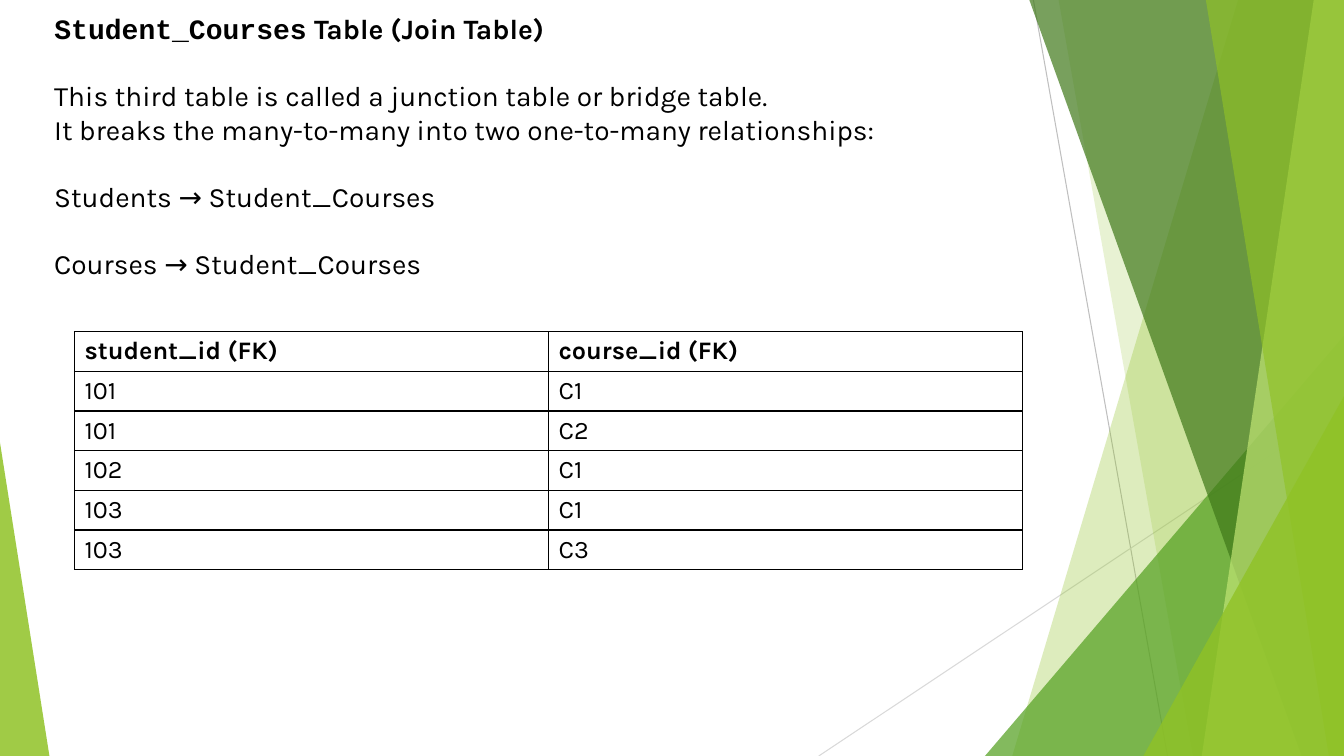
from lxml import etree
from pptx import Presentation
from pptx import util as u
from pptx.dml.color import RGBColor
from pptx.enum import shapes, text
from pptx.oxml import ns

# The page is a grid of 100 columns by 100 rows
WIDTH, HEIGHT = u.Inches(13.33), u.Inches(7.5)

BLACK = RGBColor(0, 0, 0)
LIME = RGBColor(0x90, 0xC2, 0x26)
PALE_LIME = RGBColor(0xC0, 0xE4, 0x74)
GREEN = RGBColor(0x54, 0xA0, 0x21)
DARK_GREEN = RGBColor(0x3F, 0x78, 0x19)
GREY = RGBColor(0xBF, 0xBF, 0xBF)
LIGHT_GREY = RGBColor(0xD9, 0xD9, 0xD9)

SANS, MONO = "Karla", "Courier New"

ROWS = [
    ("student_id (FK)", "course_id (FK)"),
    ("101", "C1"),
    ("101", "C2"),
    ("102", "C1"),
    ("103", "C1"),
    ("103", "C3"),
]
# Each paragraph with the space before it, in points
BODY = [
    ("This third table is called a junction table or bridge table.", 0),
    ("It breaks the many-to-many into two one-to-many relationships:", 0),
    ("Students → Student_Courses", 24),
    ("Courses → Student_Courses", 24),
]


def col(share):
    return round(WIDTH * share / 100)


def row(share):
    return round(HEIGHT * share / 100)


def tint(shape, color, opacity):
    """Fill a borderless shape with a see-through colour."""
    shape.shadow.inherit = False
    shape.line.fill.background()
    shape.fill.solid()
    shape.fill.fore_color.rgb = color
    rgb = shape._element.spPr.find(".//" + ns.qn("a:srgbClr"))
    etree.SubElement(rgb, ns.qn("a:alpha"), val=str(opacity * 1000))


def add_band(page, top_col, bottom_col, color, opacity):
    """Full-height band from a slanted left edge to the right page edge."""
    builder = page.shapes.build_freeform(col(top_col), 0)
    builder.add_line_segments(
        [(WIDTH, 0), (WIDTH, HEIGHT), (col(bottom_col), HEIGHT)], close=True)
    tint(builder.convert_to_shape(), color, opacity)


def add_corner(page, left, top, width, apex, color, opacity):
    """Triangle standing on the bottom edge of the page."""
    corner = page.shapes.add_shape(
        shapes.MSO_SHAPE.ISOSCELES_TRIANGLE,
        col(left), row(top), col(width), HEIGHT - row(top))
    corner.adjustments[0] = apex
    tint(corner, color, opacity)


def add_hairline(page, start, end, color):
    line = page.shapes.add_connector(
        shapes.MSO_CONNECTOR.STRAIGHT,
        col(start[0]), row(start[1]), col(end[0]), row(end[1]))
    line.line.color.rgb = color
    line.line.width = u.Pt(0.75)
    etree.SubElement(line._element.spPr, ns.qn("a:effectLst"))


def add_span(para, words, size, bold=False, font=SANS):
    span = para.add_run()
    span.text = words
    span.font.name = font
    span.font.size = u.Pt(size)
    span.font.bold = bold
    span.font.color.rgb = BLACK


def set_frame(box, top, height):
    """Place a text box on the shared left margin and return its frame."""
    box.left, box.top = col(3.3), row(top)
    box.width, box.height = col(73.59), row(height)
    frame = box.text_frame
    frame.word_wrap = True
    frame.auto_size = text.MSO_AUTO_SIZE.NONE
    frame.vertical_anchor = text.MSO_ANCHOR.TOP
    return frame


def add_title(page):
    para = set_frame(page.shapes.title, 0.8, 5.87).paragraphs[0]
    para.alignment = text.PP_ALIGN.LEFT
    add_span(para, "Student_Courses", 20, bold=True, font=MONO)
    add_span(para, " Table (Join Table)", 20, bold=True)


def add_body(page):
    frame = set_frame(page.shapes.add_textbox(0, 0, 0, 0), 9.73, 30)
    for index, (words, gap) in enumerate(BODY):
        para = frame.add_paragraph() if index else frame.paragraphs[0]
        para.space_before = u.Pt(gap)
        add_span(para, words, 20)


def set_borders(cell):
    properties = cell._tc.get_or_add_tcPr()
    for index, side in enumerate(("lnL", "lnR", "lnT", "lnB")):
        border = etree.Element(ns.qn("a:" + side), w=str(u.Pt(1)))
        fill = etree.SubElement(border, ns.qn("a:solidFill"))
        etree.SubElement(fill, ns.qn("a:srgbClr"), val=str(BLACK))
        properties.insert(index, border)


def add_join_table(page):
    table = page.shapes.add_table(
        len(ROWS), len(ROWS[0]),
        col(5.55), row(43.87), col(70.52), row(5.24) * len(ROWS)).table
    table.first_row = table.horz_banding = False
    for r, values in enumerate(ROWS):
        for c, value in enumerate(values):
            cell = table.cell(r, c)
            cell.fill.background()
            cell.vertical_anchor = text.MSO_ANCHOR.MIDDLE
            add_span(cell.text_frame.paragraphs[0], value, 18, bold=r == 0)
            set_borders(cell)


def add_decoration(page):
    add_hairline(page, (76.89, 0), (86.87, 100), GREY)
    add_hairline(page, (100, 53.73), (60.92, 100), LIGHT_GREY)
    add_band(page, 92.12, 75.32, LIME, 30)
    add_band(page, 78.77, 88.75, LIME, 20)
    add_corner(page, 73.29, 44.4, 26.71, 1, GREEN, 72)
    add_band(page, 76.59, 96.85, DARK_GREEN, 70)
    add_band(page, 97.75, 89.42, PALE_LIME, 70)
    add_band(page, 89.72, 98.87, LIME, 65)
    add_corner(page, 85.07, 52.4, 14.93, 1, LIME, 80)
    add_corner(page, 0, 58.53, 3.68, 0, LIME, 85)


def main():
    deck = Presentation()
    deck.slide_width, deck.slide_height = WIDTH, HEIGHT
    page = deck.slides.add_slide(deck.slide_layouts.get_by_name("Title Only"))
    add_decoration(page)
    add_title(page)
    add_body(page)
    add_join_table(page)
    deck.save("out.pptx")


if __name__ == "__main__":
    main()
